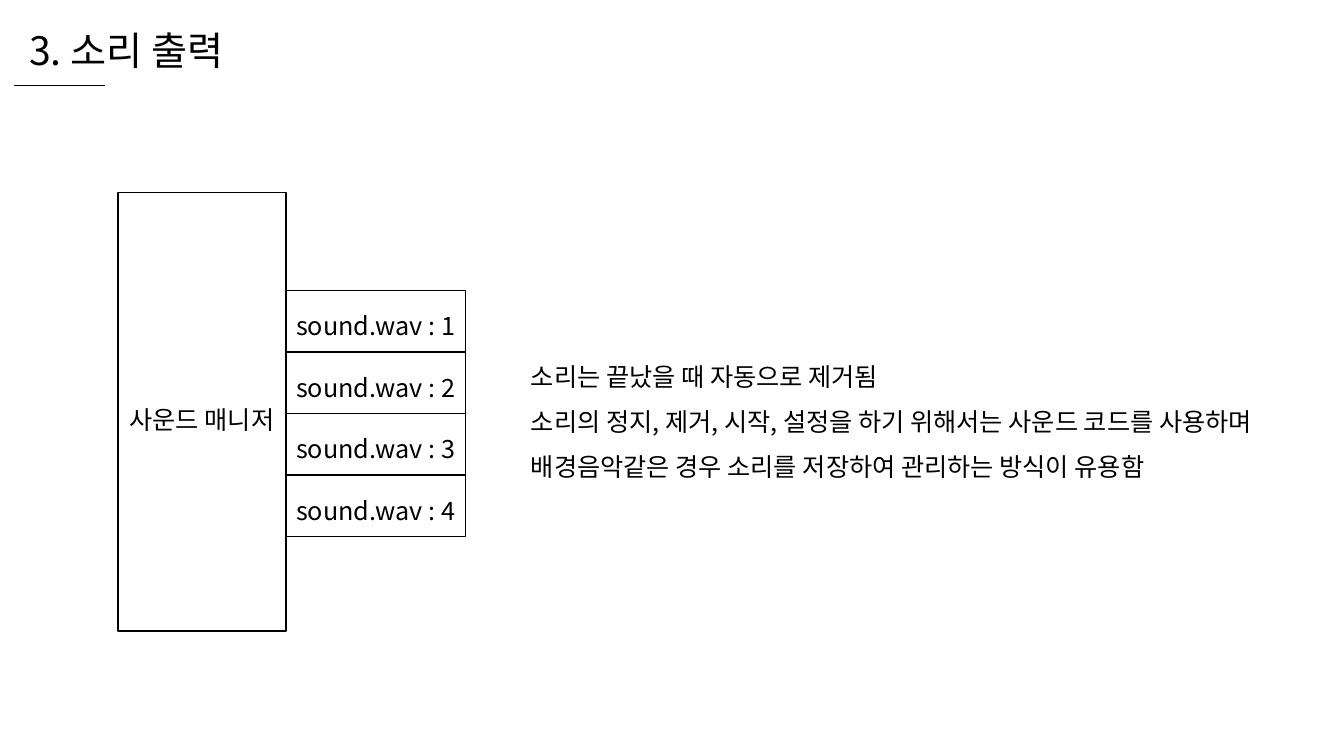
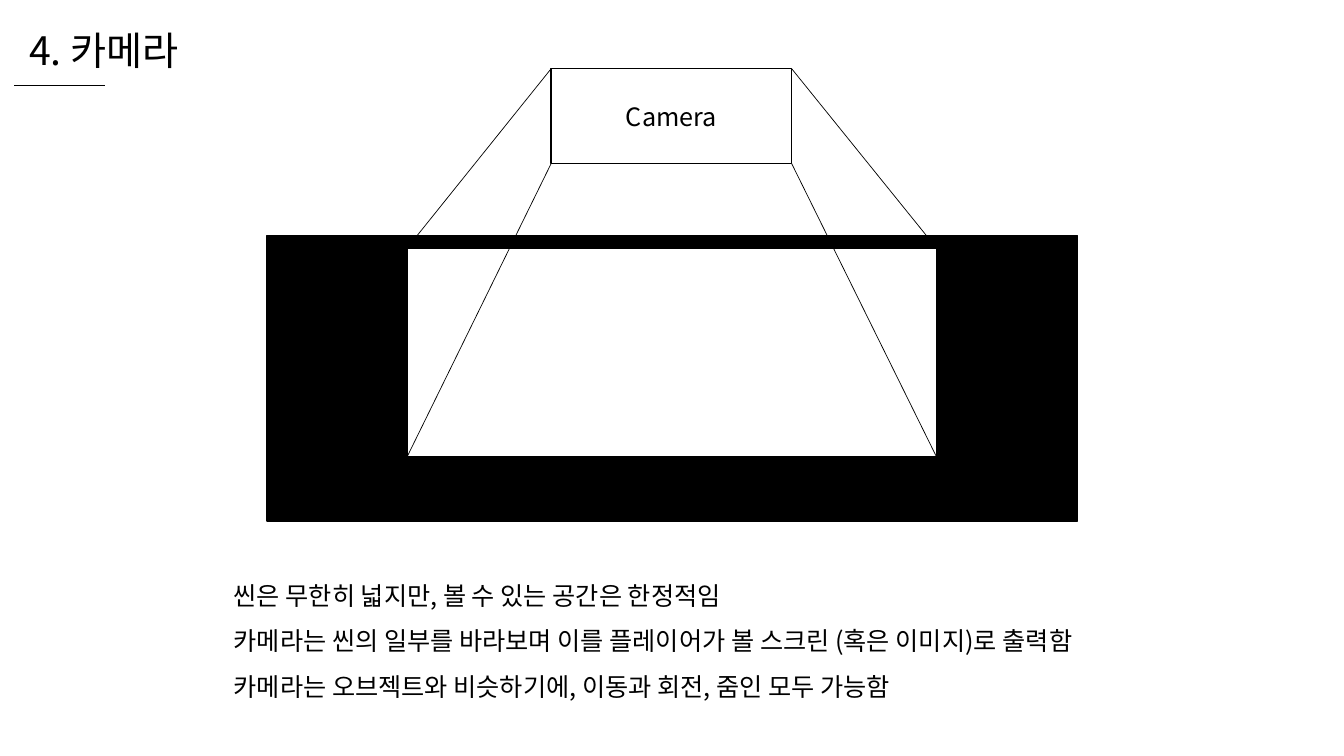
from typing import NamedTuple

from lxml.etree import SubElement
from pptx import Presentation
from pptx.dml.color import RGBColor
from pptx.enum.shapes import MSO_CONNECTOR, MSO_SHAPE
from pptx.enum.text import MSO_ANCHOR, PP_ALIGN
from pptx.oxml.ns import qn
from pptx.util import Cm, Pt

COLORS = {"ink": "000000", "paper": "FFFFFF"}
FONT = "Noto Sans CJK KR"
TITLE_SIZE, TEXT_SIZE = 28, 18


class Area(NamedTuple):
    """A rectangle on the page, in centimetres."""
    left: float
    top: float
    width: float
    height: float

    def lengths(self):
        return [Cm(value) for value in self]

    def corners(self):
        return [(x, y) for x in (self.left, self.left + self.width)
                for y in (self.top, self.top + self.height)]


TITLE_AREA = Area(0.48, 0.53, 10, 1.45)
TITLE_RULE = (0.36, 2.16), (2.64, 2.16)


def color(name):
    return RGBColor.from_string(COLORS[name])


def set_values(target, values):
    for name, value in values.items():
        setattr(target, name, value)


class Deck:
    def __init__(self):
        self.deck = Presentation()
        set_values(self.deck, {"slide_width": Cm(33.87), "slide_height": Cm(19.05)})
        self.page = None

    def add_page(self, title):
        self.page = self.deck.slides.add_slide(self.deck.slide_layouts[5])
        box = self.page.shapes.title
        set_values(box, dict(zip(("left", "top", "width", "height"), TITLE_AREA.lengths())))
        self.fill_text(box, [title], size=TITLE_SIZE, spacing=1, anchor=MSO_ANCHOR.MIDDLE)
        self.line(*TITLE_RULE)

    def fill_text(self, box, lines, size=TEXT_SIZE, spacing=1.5, align=PP_ALIGN.LEFT,
                  anchor=MSO_ANCHOR.TOP, wrap=True):
        frame = box.text_frame
        set_values(frame, {"text": "\n".join(lines), "word_wrap": wrap,
                           "vertical_anchor": anchor})
        for para in frame.paragraphs:
            set_values(para, {"alignment": align, "line_spacing": spacing})
            for span in para.runs:
                set_values(span.font, {"name": FONT, "size": Pt(size)})
                span.font.color.rgb = color("ink")
                SubElement(span.font._element, qn("a:ea"), typeface=FONT)

    def text(self, area, lines):
        self.fill_text(self.page.shapes.add_textbox(*area.lengths()), lines)

    def box(self, area, label="", fill="paper", **style):
        box = self.page.shapes.add_shape(MSO_SHAPE.RECTANGLE, *area.lengths())
        box.shadow.inherit = False
        box.fill.solid()
        box.fill.fore_color.rgb = color(fill)
        box.line.color.rgb = color("ink")
        box.line.width = Pt(1)
        if label:
            self.fill_text(box, [label], align=PP_ALIGN.CENTER, wrap=False, **style)

    def line(self, start, end):
        ends = [Cm(value) for value in (*start, *end)]
        line = self.page.shapes.add_connector(MSO_CONNECTOR.STRAIGHT, *ends)
        line.line.color.rgb = color("ink")
        line.line.width = Pt(0.5)
        SubElement(line._element.spPr, qn("a:effectLst"))


def add_sound_page(deck):
    deck.add_page("3. 소리 출력")
    manager = Area(2.97, 4.85, 4.24, 11.05)
    deck.box(manager, "사운드 매니저", anchor=MSO_ANCHOR.MIDDLE)
    deck.text(Area(13.13, 8.59, 19.53, 3.58), [
        "소리는 끝났을 때 자동으로 제거됨",
        "소리의 정지, 제거, 시작, 설정을 하기 위해서는 사운드 코드를 사용하며",
        "배경음악같은 경우 소리를 저장하여 관리하는 방식이 유용함",
    ])
    sound_height = 1.55
    for index in range(4):
        area = Area(manager.left + manager.width, 7.32 + index * sound_height, 4.52, sound_height)
        deck.box(area, f"sound.wav : {index + 1}")


def add_camera_page(deck):
    deck.add_page("4. 카메라")
    scene = Area(6.73, 5.94, 20.42, 7.19)
    screen = Area(10.26, 6.25, 13.34, 5.26)
    camera = Area(13.89, 1.73, 6.06, 2.39)
    deck.box(scene, fill="ink")
    deck.box(screen)
    deck.box(camera, "Camera", spacing=1, anchor=MSO_ANCHOR.MIDDLE)
    for start, end in zip(screen.corners(), camera.corners()):
        deck.line(start, end)
    deck.text(Area(5.64, 14.12, 23.2, 3.58), [
        "씬은 무한히 넓지만, 볼 수 있는 공간은 한정적임",
        "카메라는 씬의 일부를 바라보며 이를 플레이어가 볼 스크린 (혹은 이미지)로 출력함",
        "카메라는 오브젝트와 비슷하기에, 이동과 회전, 줌인 모두 가능함",
    ])


def main():
    deck = Deck()
    add_sound_page(deck)
    add_camera_page(deck)
    deck.deck.save("out.pptx")


if __name__ == "__main__":
    main()
